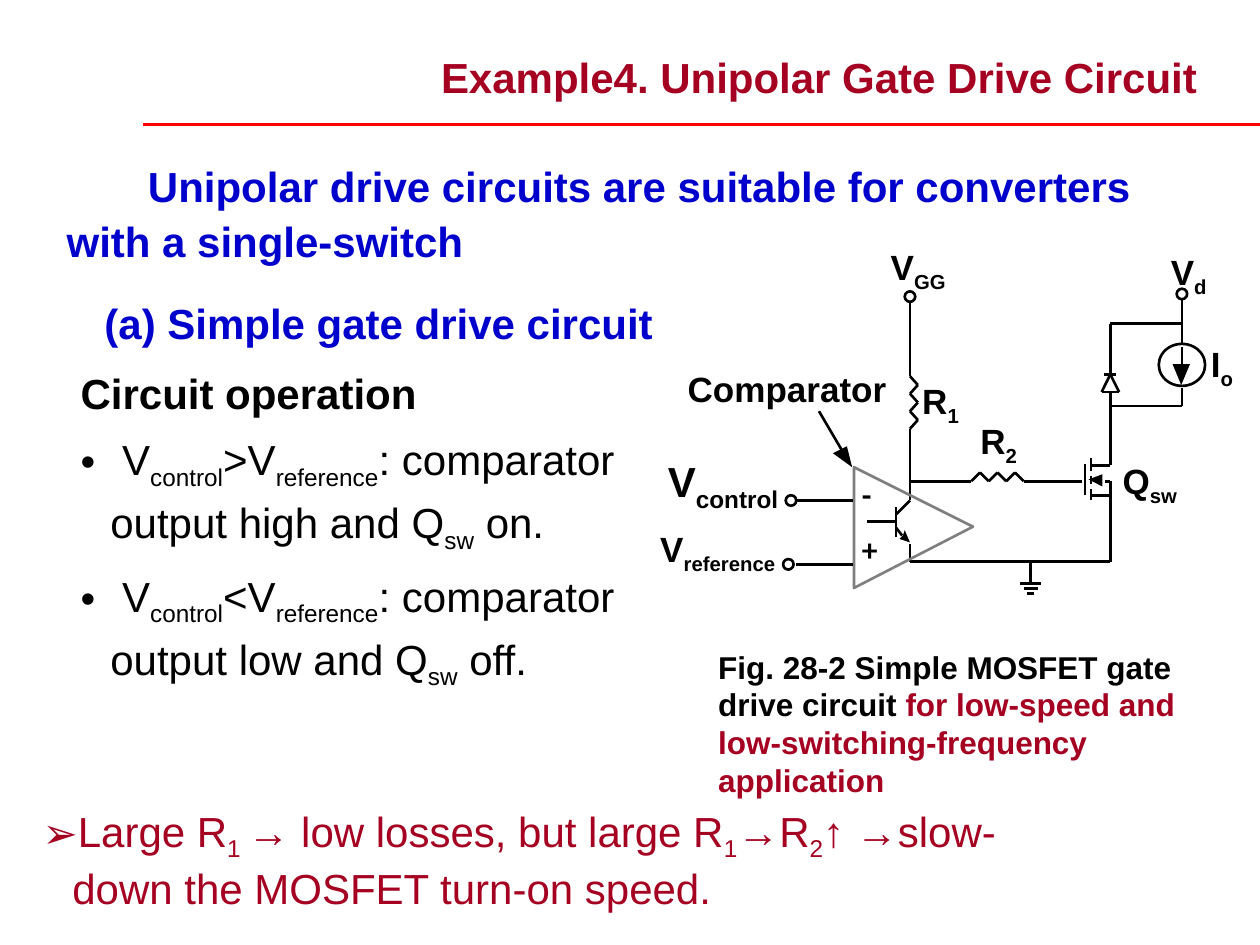
from typing import NamedTuple

from lxml import etree
from pptx import Presentation
from pptx import util as u
from pptx.dml.color import RGBColor
from pptx.enum import shapes, text
from pptx.oxml import ns

BLACK = RGBColor(0x00, 0x00, 0x00)
BLUE = RGBColor(0x00, 0x00, 0xCC)
CRIMSON = RGBColor(0xA5, 0x00, 0x21)
RED = RGBColor(0xFF, 0x00, 0x00)
GREY = RGBColor(0x7F, 0x7F, 0x7F)

INSET = (7.2, 3.6)
HANGING = 17
RESISTOR_STEP = 5
GATE_X, DRAIN_X, SUPPLY_X = 520, 634.5, 675.4
GATE_Y, RAIL_Y, GROUND_X = 275, 321, 589
CHANNEL_X = 623.5


class Label(NamedTuple):
    content: str  # braces enclose subscripts
    left: float
    top: float
    width: float
    height: float
    size: float = 20
    font: str = "Arial"


class Ring(NamedTuple):
    x: float
    y: float
    width: float = 6
    height: float = 6


def write(paragraph, content: str, size: float, color: RGBColor, bold: bool = True,
          font: str = "Arial", bullet: str = "", first_indent: float = 0,
          before: float = 0, spacing: float = 1.0) -> None:
    """Fill a paragraph; text between braces becomes subscript."""
    paragraph.alignment = text.PP_ALIGN.LEFT
    paragraph.space_before = u.Pt(before)
    paragraph.line_spacing = spacing
    properties = paragraph._p.get_or_add_pPr()
    margin = HANGING if bullet else 0
    properties.set("marL", str(u.Pt(margin)))
    properties.set("indent", str(u.Pt(-margin if bullet else first_indent)))
    if bullet:
        etree.SubElement(properties, ns.qn("a:buFont")).set("typeface", "Arial")
        etree.SubElement(properties, ns.qn("a:buChar")).set("char", bullet)
    else:
        etree.SubElement(properties, ns.qn("a:buNone"))
    paragraph.font.name = font
    paragraph.font.size = u.Pt(size)
    paragraph.font.bold = bold
    paragraph.font.color.rgb = color
    for index, part in enumerate(content.replace("}", "{").split("{")):
        if part:
            run = paragraph.add_run()
            run.text = part
            if index % 2:
                run._r.get_or_add_rPr().set("baseline", "-25000")


def prepare(shape, left: float, top: float, width: float, height: float,
            inset: tuple = INSET, wrap: bool = True):
    """Place a text shape and return its frame."""
    shape.left, shape.top = u.Pt(left), u.Pt(top)
    shape.width, shape.height = u.Pt(width), u.Pt(height)
    frame = shape.text_frame
    frame.auto_size = text.MSO_AUTO_SIZE.NONE
    frame.vertical_anchor = text.MSO_ANCHOR.TOP
    frame.word_wrap = wrap
    frame.margin_left = frame.margin_right = u.Pt(inset[0])
    frame.margin_top = frame.margin_bottom = u.Pt(inset[1])
    return frame


def add_frame(slide, *box: float, **options):
    return prepare(slide.shapes.add_textbox(0, 0, 0, 0), *box, **options)


def draw_wire(slide, *points: tuple, color: RGBColor = BLACK) -> None:
    """Join successive points with straight lines."""
    for start, end in zip(points, points[1:]):
        line = slide.shapes.add_connector(
            shapes.MSO_CONNECTOR.STRAIGHT, *(u.Pt(value) for value in start + end))
        line.line.color.rgb = color
        line.line.width = u.Pt(1.5)
        etree.SubElement(line._element.spPr, ns.qn("a:effectLst"))


def draw_polygon(slide, *points: tuple, outline: RGBColor | None = None) -> None:
    """Draw a solid black arrowhead, or an open outline in the given colour."""
    builder = slide.shapes.build_freeform(*points[0], scale=u.Pt(1))
    builder.add_line_segments(points[1:], close=True)
    finish(builder.convert_to_shape(), outline)


def draw_ring(slide, ring: Ring) -> None:
    box = (ring.x - ring.width / 2, ring.y - ring.height / 2, ring.width, ring.height)
    shape = slide.shapes.add_shape(shapes.MSO_SHAPE.OVAL, *(u.Pt(value) for value in box))
    finish(shape, BLACK)


def finish(shape, outline: RGBColor | None) -> None:
    shape.shadow.inherit = False
    if outline is None:
        shape.fill.solid()
        shape.fill.fore_color.rgb = BLACK
        shape.line.fill.background()
    else:
        shape.fill.background()
        shape.line.color.rgb = outline
        shape.line.width = u.Pt(1.5)


def zigzag(along: float, across: float, swing: float) -> list:
    """Seven resistor points as (along, across) pairs."""
    return [(along + RESISTOR_STEP * i, across + swing * (i % 2)) for i in range(7)]


def draw_circuit(slide) -> None:
    # Gate supply, R1 and the comparator's output transistor
    r1 = [(x, y) for y, x in zigzag(215, GATE_X, 4.5)]
    draw_wire(slide, (GATE_X, 173), *r1, (GATE_X, 286), (512, 294))
    draw_wire(slide, (512, 290), (512, 307))
    draw_wire(slide, (495.5, 298), (512, 298))
    draw_wire(slide, (512, 301.5), (515.5, 306))
    draw_polygon(slide, (515.5, 306), (513.5, 307.5), (520, 310.5), (517, 303))

    # R2 to the gate
    draw_wire(slide, (GATE_X, GATE_Y), *zigzag(555, GATE_Y, -5), (618.5, GATE_Y))

    # Return rail and ground
    draw_wire(slide, (GATE_X, 311), (GATE_X, RAIL_Y), (DRAIN_X, RAIL_Y),
              (DRAIN_X, GATE_Y), (631.5, GATE_Y))
    draw_wire(slide, (GROUND_X, RAIL_Y), (GROUND_X, 333.5))
    for half, y in ((6, 333.5), (4, 336.2), (2, 339)):
        draw_wire(slide, (GROUND_X - half, y), (GROUND_X + half, y))

    # Switch
    for top, bottom in ((262, 269), (272, 276.5), (279.5, 286)):
        draw_wire(slide, (CHANNEL_X, top), (CHANNEL_X, bottom))
    draw_wire(slide, (620, 265), (620, 283))
    draw_wire(slide, (CHANNEL_X, 283), (DRAIN_X, 283))
    draw_polygon(slide, (630.5, 271), (622, 274.5), (630.5, 278))

    # Load current source and freewheeling diode
    draw_wire(slide, (SUPPLY_X, 171.5), (SUPPLY_X, 196))
    draw_wire(slide, (SUPPLY_X, 185), (DRAIN_X, 185), (DRAIN_X, 214))
    draw_wire(slide, (631, 214), (638, 214))
    draw_wire(slide, (DRAIN_X, 214), (639.5, 224), (629.5, 224), (DRAIN_X, 214))
    draw_wire(slide, (DRAIN_X, 224), (DRAIN_X, 266), (CHANNEL_X, 266))
    draw_wire(slide, (SUPPLY_X, 222), (SUPPLY_X, 232), (DRAIN_X, 232))
    draw_wire(slide, (SUPPLY_X, 198.5), (SUPPLY_X, 209))
    draw_polygon(slide, (670.5, 208), (680, 208), (SUPPLY_X, 219.5))

    # Comparator with its inputs and pointer
    draw_polygon(slide, (487.5, 267), (556, 301), (487.5, 335.5), outline=GREY)
    for y in (286, 322.5):
        draw_wire(slide, (455, y), (487.5, y))
    draw_wire(slide, (468, 235), (481.5, 258))
    draw_polygon(slide, (476, 259), (487, 267), (484.5, 255))

    # Terminals and the current source's circle
    for ring in (Ring(GATE_X, 169.5), Ring(SUPPLY_X, 168), Ring(452, 286),
                 Ring(450.5, 322.5), Ring(SUPPLY_X, 208.5, 26.5, 24)):
        draw_ring(slide, ring)

    # Labels
    for label in (
            Label("V{GG}", 509, 140.4, 32, 27), Label("V{d}", 669, 143.3, 21, 27),
            Label("I{o}", 692, 195.8, 13, 27), Label("R{1}", 527, 216.7, 21, 27),
            Label("R{2}", 560.2, 239.8, 37, 27), Label("Q{sw}", 641.5, 262.8, 31, 27),
            Label("Comparator", 393, 210.2, 114, 24),
            Label("V{control}", 381.6, 260.6, 63, 33, 24),
            Label("V{reference}", 377.3, 301.7, 66, 27),
            Label("-", 492.5, 271.4, 6, 22, 18, "Calibri"),
            Label("+", 492.5, 303.1, 10, 22, 18, "Calibri")):
        frame = add_frame(slide, *label[1:5], inset=(0, 0), wrap=False)
        write(frame.paragraphs[0], label.content, label.size, BLACK, font=label.font)


def main() -> None:
    presentation = Presentation()
    presentation.slide_width, presentation.slide_height = u.Pt(720), u.Pt(540)
    slide = presentation.slides.add_slide(presentation.slide_layouts[1])

    # Title and rule
    frame = prepare(slide.shapes.title, 244.8, 26, 466.5, 36)
    write(frame.paragraphs[0], "Example4. Unipolar Gate Drive Circuit", 24, CRIMSON)
    draw_wire(slide, (82, 71.3), (720, 71.3), color=RED)

    # Introduction and subheading
    frame = add_frame(slide, 31, 85.2, 642, 65)
    write(frame.paragraphs[0], "Unipolar drive circuits are suitable for converters "
          "with a single-switch", 24, BLUE, first_indent=46.5, spacing=1.1)
    frame = add_frame(slide, 52.6, 163.7, 361, 33)
    write(frame.paragraphs[0], "(a) Simple gate drive circuit", 24, BLUE, spacing=1.1)

    # Circuit operation
    frame = prepare(slide.placeholders[1], 38.9, 203.3, 345.6, 189)
    write(frame.paragraphs[0], "Circuit operation", 24, BLACK, spacing=1.1)
    for sign, level, state in ((">", "high", "on"), ("<", "low", "off")):
        write(frame.add_paragraph(), f" V{{control}}{sign}V{{reference}}: comparator "
              f"output {level} and Q{{sw}} {state}.", 24, BLACK, bold=False,
              bullet="•", before=6, spacing=1.1)

    draw_circuit(slide)

    # Caption
    paragraph = add_frame(slide, 410.4, 370, 289.5, 87, inset=(0, 0)).paragraphs[0]
    write(paragraph, "Fig. 28-2 Simple MOSFET gate drive circuit ", 18, BLACK)
    run = paragraph.add_run()
    run.text = "for low-speed and low-switching-frequency application"
    run.font.color.rgb = CRIMSON

    # Conclusion
    frame = add_frame(slide, 17.3, 456.5, 595.5, 69)
    write(frame.paragraphs[0], "Large R{1 }→ low losses, but large R{1}→R{2}↑ →slow-down "
          "the MOSFET turn-on speed.", 24, CRIMSON, bold=False, bullet="➢")

    presentation.save("out.pptx")


if __name__ == "__main__":
    main()
